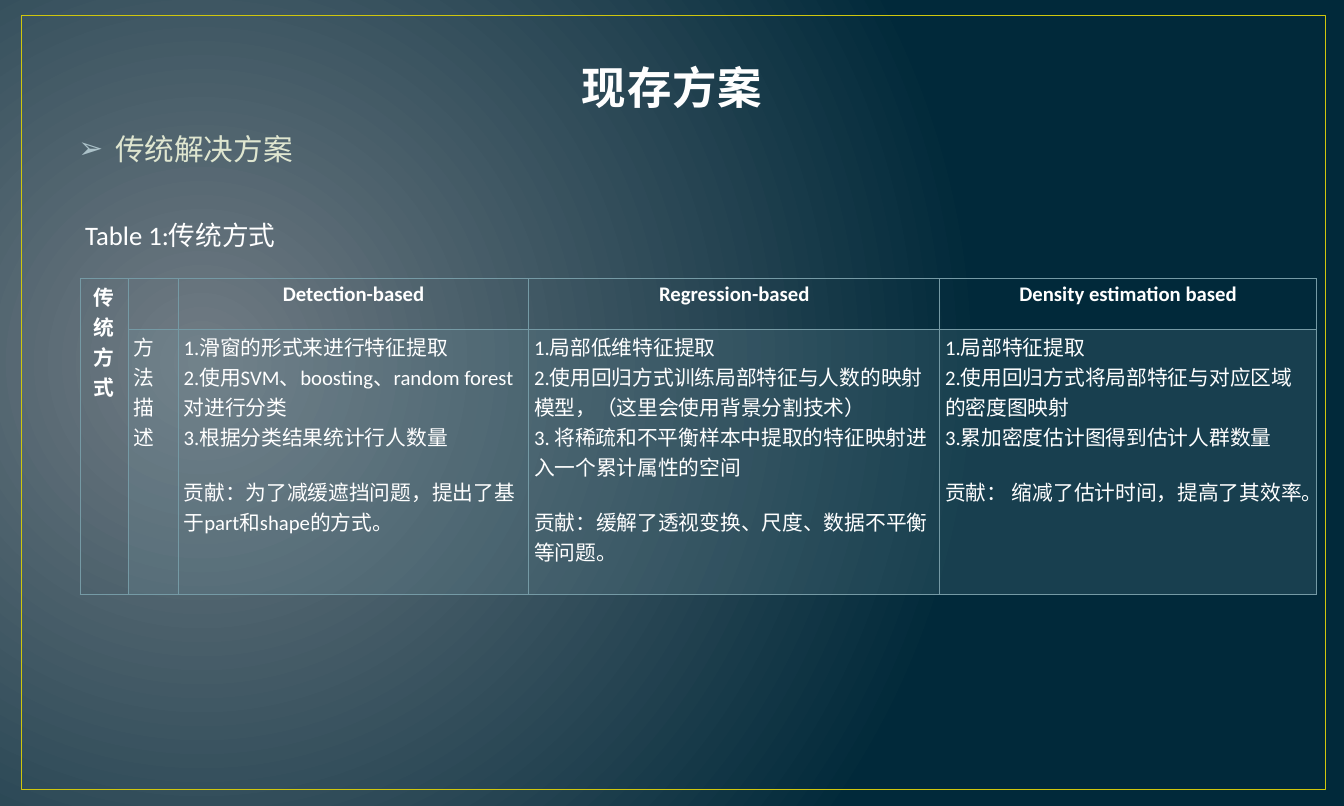
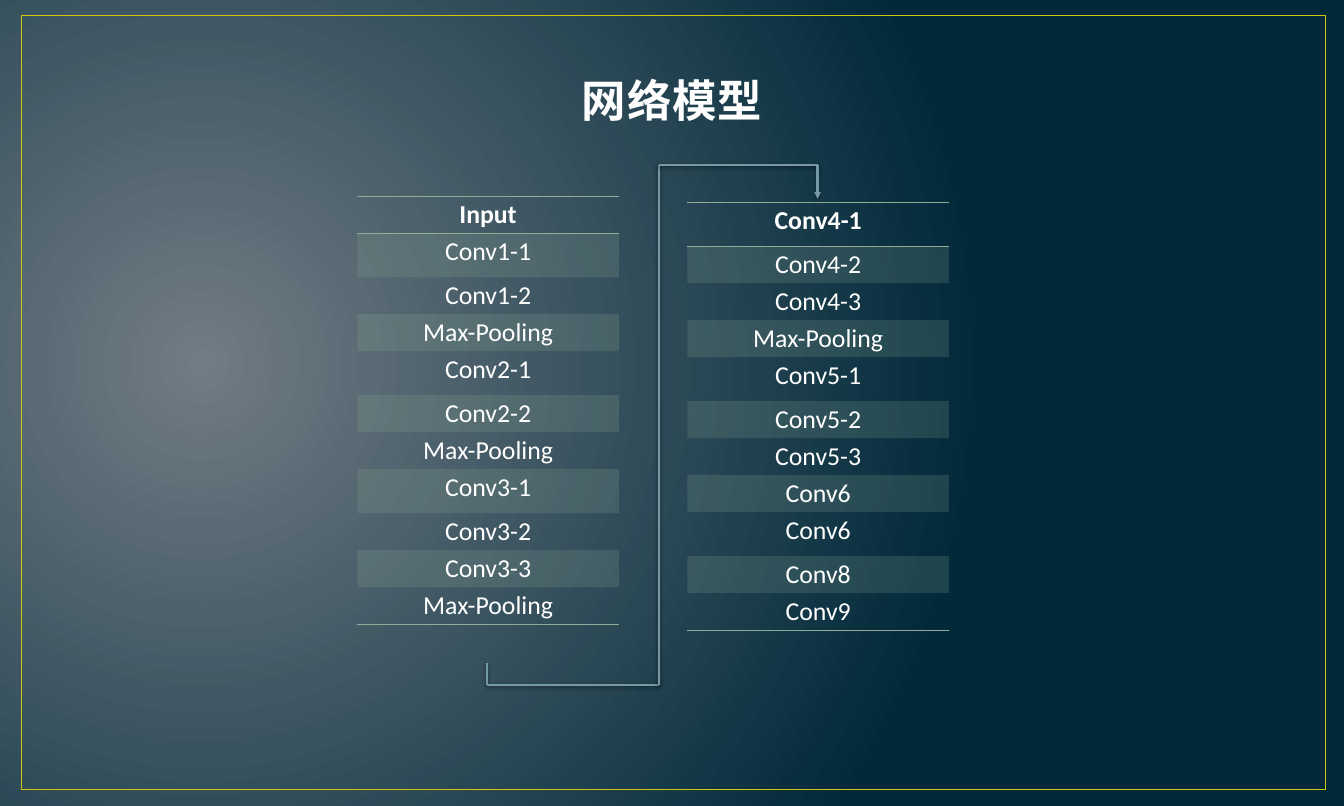
from lxml.etree import SubElement
from pptx import Presentation
from pptx.dml.color import RGBColor
from pptx.enum.shapes import MSO_CONNECTOR, MSO_SHAPE
from pptx.enum.text import MSO_ANCHOR, PP_ALIGN
from pptx.oxml.ns import qn
from pptx.util import Cm, Pt

FONT = "Calibri"
WHITE = RGBColor(0xFF, 0xFF, 0xFF)
TITLE_WHITE = RGBColor(0xFE, 0xFE, 0xFE)
GLOW_GRAY = RGBColor(0x71, 0x7C, 0x84)
DEEP_BLUE = RGBColor(0x01, 0x29, 0x3A)
FRAME_YELLOW = RGBColor(0xCF, 0xC6, 0x0D)
HEADING_GREEN = RGBColor(0xDF, 0xE6, 0xD0)
BULLET_BLUE = RGBColor(0xAC, 0xC2, 0xC9)
TEAL = RGBColor(0x75, 0x9A, 0xA5)
SAGE = RGBColor(0x90, 0xAC, 0x97)
BLACK = RGBColor(0x00, 0x00, 0x00)
NO_TABLE_STYLE = "{2D5ABB26-0587-4C30-8999-92F81FD0307C}"

METHOD_COLUMNS = [
    (16.69, "Detection-based",
     ["1.滑窗的形式来进行特征提取",
      "2.使用SVM、boosting、random forest对进行分类",
      "3.根据分类结果统计行人数量",
      "贡献：为了减缓遮挡问题，提出了基于part和shape的方式。"]),
    (19.58, "Regression-based",
     ["1.局部低维特征提取",
      "2.使用回归方式训练局部特征与人数的映射模型，（这里会使用背景分割技术）",
      "3. 将稀疏和不平衡样本中提取的特征映射进入一个累计属性的空间",
      "贡献：缓解了透视变换、尺度、数据不平衡等问题。"]),
    (17.93, "Density estimation based",
     ["1.局部特征提取",
      "2.使用回归方式将局部特征与对应区域的密度图映射",
      "3.累加密度估计图得到估计人群数量",
      "贡献： 缩减了估计时间，提高了其效率。"]),
]
FIRST_LAYERS = ["Input", "Conv1-1", "Conv1-2", "Max-Pooling", "Conv2-1", "Conv2-2",
                "Max-Pooling", "Conv3-1", "Conv3-2", "Conv3-3", "Max-Pooling"]
LAST_LAYERS = ["Conv4-1", "Conv4-2", "Conv4-3", "Max-Pooling", "Conv5-1", "Conv5-2",
               "Conv5-3", "Conv6", "Conv6", "Conv8", "Conv9"]
FLOW_POINTS = [(23.2, 31.57), (23.2, 32.64), (31.37, 32.64),
               (31.37, 7.87), (38.94, 7.87), (38.94, 9.47)]


def add_element(parent, tag, **attributes):
    element = SubElement(parent, qn(tag))
    for name, value in attributes.items():
        element.set(name, str(value))
    return element


def add_run(paragraph, text, size, color=WHITE, bold=False):
    run = paragraph.add_run()
    run.text = text
    run.font.name = FONT
    run.font.size = Pt(size)
    run.font.bold = bold
    run.font.color.rgb = color
    return run


def add_text(slide, text, left, top, width, height, size, color=WHITE, bold=False):
    frame = slide.shapes.add_textbox(Cm(left), Cm(top), Cm(width), Cm(height)).text_frame
    frame.word_wrap = True
    run = add_run(frame.paragraphs[0], text, size, color, bold)
    return frame, run


def widen_margins(frame):
    frame.margin_left = frame.margin_right = Cm(0.58)
    frame.margin_top = frame.margin_bottom = Cm(0.3)


def paint_background(slide):
    fill = slide.background.fill
    fill.gradient()
    for stop, color in zip(fill.gradient_stops, (GLOW_GRAY, DEEP_BLUE)):
        stop.color.rgb = color
    gradient = slide.element.find(".//" + qn("a:gradFill"))
    gradient.remove(gradient.find(qn("a:lin")))
    circle = add_element(gradient, "a:path", path="circle")
    add_element(circle, "a:fillToRect", l=15000, t=50000, r=85000, b=60000)


def add_titled_slide(presentation, title, title_height):
    slide = presentation.slides.add_slide(presentation.slide_layouts[6])
    paint_background(slide)
    border = slide.shapes.add_shape(MSO_SHAPE.RECTANGLE, Cm(1.04), Cm(0.76), Cm(62.08), Cm(36.86))
    border.shadow.inherit = False
    border.fill.background()
    border.line.color.rgb = FRAME_YELLOW
    border.line.width = Pt(1.5)
    frame, run = add_text(slide, title, 3.2, 1.55, 57.61, title_height, 60, TITLE_WHITE, True)
    widen_margins(frame)
    frame.vertical_anchor = MSO_ANCHOR.BOTTOM
    frame.paragraphs[0].alignment = PP_ALIGN.CENTER
    run.font._element.set("spc", "110")
    return slide


def add_bullet_heading(slide, text):
    frame, _ = add_text(slide, text, 3.15, 5.94, 57.61, 2.6, 40, HEADING_GREEN)
    widen_margins(frame)
    properties = frame.paragraphs[0]._p.get_or_add_pPr()
    properties.set("marL", str(Cm(1.75)))
    properties.set("indent", str(-Cm(1.75)))
    add_element(add_element(properties, "a:buClr"), "a:srgbClr", val=BULLET_BLUE)
    add_element(properties, "a:buFont", typeface="Arial")
    add_element(properties, "a:buChar", char="➢")


def add_plain_table(slide, left, top, widths, heights):
    table = slide.shapes.add_table(len(heights), len(widths), Cm(left), Cm(top),
                                   Cm(sum(widths)), Cm(sum(heights))).table
    table.first_row = table.horz_banding = False
    table._tbl.tblPr.find(qn("a:tableStyleId")).text = NO_TABLE_STYLE
    for column, width in zip(table.columns, widths):
        column.width = Cm(width)
    for row, height in zip(table.rows, heights):
        row.height = Cm(height)
    return table


def style_cell(cell, color, borders, tinted):
    properties = cell._tc.get_or_add_tcPr()
    for side in "LRTB":
        if side in borders:
            line = add_element(properties, "a:ln" + side, w=Pt(borders[side]))
            add_element(add_element(line, "a:solidFill"), "a:srgbClr", val=color)
    if tinted:
        cell.fill.solid()
        cell.fill.fore_color.rgb = color
        tint = properties.find(qn("a:solidFill")).find(qn("a:srgbClr"))
        add_element(tint, "a:alpha", val=20000)
    else:
        cell.fill.background()


def write_cell(cell, lines, size, bold=False, centered=False, vertical=False):
    frame = cell.text_frame
    for index, line in enumerate(lines):
        paragraph = frame.add_paragraph() if index else frame.paragraphs[0]
        paragraph.alignment = PP_ALIGN.CENTER if centered else PP_ALIGN.LEFT
        add_run(paragraph, line, size, bold=bold)
    if vertical:
        cell._tc.get_or_add_tcPr().set("vert", "eaVert")


def add_method_table(slide):
    widths = [2.29, 2.39] + [width for width, _, _ in METHOD_COLUMNS]
    table = add_plain_table(slide, 3.81, 13.28, widths, [2.41, 12.62])
    for row in range(2):
        for column in range(len(widths)):
            header = row == 0 and column > 0
            borders = {"L": 1, "R": 1, "T": 1, "B": 2 if header else 1}
            style_cell(table.cell(row, column), TEAL, borders, row == 1 and column > 0)
    table.cell(0, 0).merge(table.cell(1, 0))
    write_cell(table.cell(0, 0), ["传统方式"], 28, bold=True, centered=True, vertical=True)
    write_cell(table.cell(1, 1), ["方法描述"], 28, vertical=True)
    for column, (_, heading, lines) in enumerate(METHOD_COLUMNS, 2):
        write_cell(table.cell(0, column), [heading], 28, bold=True, centered=True)
        write_cell(table.cell(1, column), lines, 28)
        table.cell(1, column).text_frame.paragraphs[-1].space_before = Pt(34)


def add_layer_table(slide, left, top, layers, tall_rows):
    heights = [2.1 if row in tall_rows else 1.76 for row in range(len(layers))]
    table = add_plain_table(slide, left, top, [12.45], heights)
    for row, layer in enumerate(layers):
        borders = {"T": 1, "B": 1} if row == 0 else {}
        if row == len(layers) - 1:
            borders = {"B": 1}
        cell = table.cell(row, 0)
        style_cell(cell, SAGE, borders, row % 2 == 1)
        write_cell(cell, [layer], 34.8, bold=row == 0, centered=True)


def add_flow_arrow(slide, points):
    group = slide.shapes.add_group_shape()
    for (start_x, start_y), (end_x, end_y) in zip(points, points[1:]):
        connector = group.shapes.add_connector(
            MSO_CONNECTOR.STRAIGHT, Cm(start_x), Cm(start_y), Cm(end_x), Cm(end_y))
        connector.line.color.rgb = TEAL
        connector.line.width = Pt(3)
        if (end_x, end_y) == points[-1]:
            add_element(connector.line._get_or_add_ln(), "a:tailEnd", type="triangle")
        effects = add_element(connector._element.spPr, "a:effectLst")
        shadow = add_element(effects, "a:outerShdw", blurRad=Pt(5), dist=Pt(2),
                             dir=5400000, rotWithShape=0)
        add_element(add_element(shadow, "a:srgbClr", val=BLACK), "a:alpha", val=43000)


def main():
    presentation = Presentation()
    presentation.slide_width = Cm(64.01)
    presentation.slide_height = Cm(38.4)

    methods = add_titled_slide(presentation, "现存方案", 4.17)
    add_bullet_heading(methods, "传统解决方案")
    add_method_table(methods)
    add_text(methods, "Table 1:传统方式", 3.81, 10.31, 25.81, 1.8, 36)

    network = add_titled_slide(presentation, "网络模型", 4.78)
    add_layer_table(network, 17.02, 9.35, FIRST_LAYERS, (1, 4, 7))
    add_flow_arrow(network, FLOW_POINTS)
    add_layer_table(network, 32.74, 9.63, LAST_LAYERS, (0, 4, 8))

    presentation.save("out.pptx")


if __name__ == "__main__":
    main()
